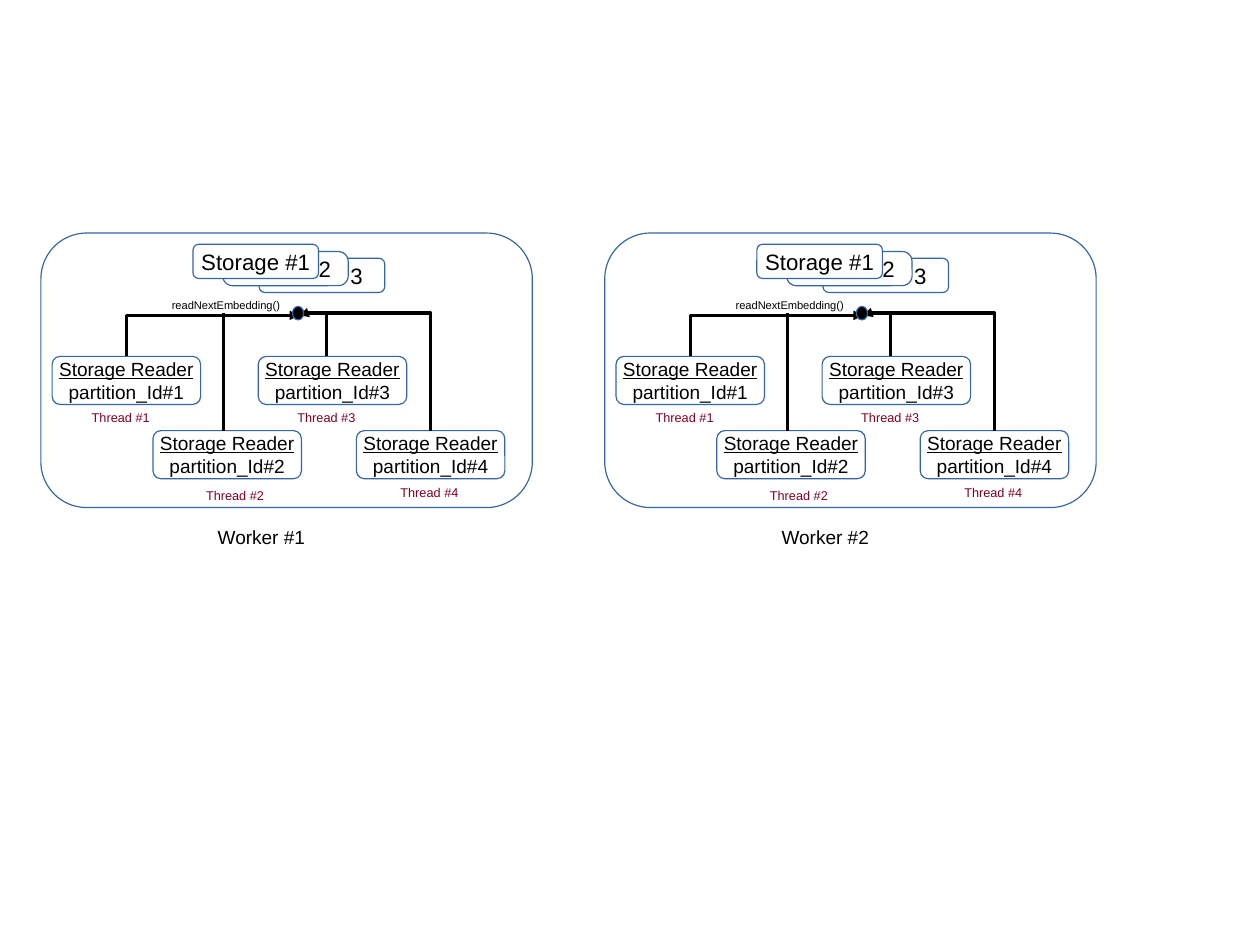
from lxml import etree
from pptx import Presentation
from pptx.dml.color import RGBColor
from pptx.enum.shapes import MSO_CONNECTOR as Connector, MSO_SHAPE as Shape
from pptx.enum.text import MSO_ANCHOR as Anchor, MSO_AUTO_SIZE as AutoSize, PP_ALIGN as Align
from pptx.oxml.ns import qn
from pptx.util import Cm, Pt

COLORS = {"text": "000000", "border": "3465A4", "paper": "FFFFFF", "thread": "7E0021"}
FONT = "Arial"


def color(name):
    return RGBColor.from_string(COLORS[name])


class Diagram:
    """Draws on one slide; positions are in cm from the current origin."""

    def __init__(self, slide):
        self.slide = slide
        self.left = self.top = 0

    def move_to(self, left, top):
        self.left, self.top = left, top

    def place(self, x, y):
        return Cm(self.left + x), Cm(self.top + y)

    def set_text(self, frame, lines, size, tint="text", align=Align.CENTER):
        frame.text = "\n".join(lines)
        for para in frame.paragraphs:
            para.alignment = align
            para.font.name = FONT
            para.font.size = Pt(size)
            para.font.color.rgb = color(tint)

    def shape(self, kind, x, y, width, height, fill=None):
        box = self.slide.shapes.add_shape(kind, *self.place(x, y), Cm(width), Cm(height))
        box.shadow.inherit = False
        if fill:
            box.fill.solid()
            box.fill.fore_color.rgb = color(fill)
        else:
            box.fill.background()
        box.line.color.rgb = color("border")
        box.line.width = Pt(0)
        return box

    def card(self, x, y, width, height, lines, size, fill=None, align=Align.CENTER, inset=0.25):
        box = self.shape(Shape.ROUNDED_RECTANGLE, x, y, width, height, fill)
        frame = box.text_frame
        # Right-aligned text needs the full card width to align against
        frame.word_wrap = align == Align.RIGHT
        frame.vertical_anchor = Anchor.MIDDLE
        frame.margin_right = Cm(inset)
        self.set_text(frame, lines, size, align=align)
        return box

    def label(self, x, y, width, height, text, size, tint="text"):
        box = self.slide.shapes.add_textbox(*self.place(x, y), Cm(width), Cm(height))
        box.text_frame.word_wrap = True
        box.text_frame.auto_size = AutoSize.SHAPE_TO_FIT_TEXT
        self.set_text(box.text_frame, [text], size, tint)

    def line(self, start, end, kind=Connector.STRAIGHT):
        link = self.slide.shapes.add_connector(kind, *self.place(*start), *self.place(*end))
        link.line.color.rgb = color("text")
        link.line.width = Pt(0)
        etree.SubElement(link._element.spPr, qn("a:effectLst"))
        return link

    def elbow(self, start, end, preset, turn, flips, bend=None):
        """Arrow that leaves start vertically; its box is stored turned by 90 or 270 degrees."""
        (x1, y1), (x2, y2) = start, end
        middle_x, middle_y = (x1 + x2) / 2, (y1 + y2) / 2
        half_width, half_height = abs(y2 - y1) / 2, abs(x2 - x1) / 2
        link = self.line((middle_x - half_width, middle_y - half_height),
                         (middle_x + half_width, middle_y + half_height), Connector.ELBOW)
        properties = link._element.spPr
        transform = properties.find(qn("a:xfrm"))
        transform.set("rot", str(turn * 60000))
        for flip in flips:
            transform.set(flip, "1")
        geometry = properties.find(qn("a:prstGeom"))
        geometry.set("prst", preset)
        if bend:
            guides = geometry.find(qn("a:avLst"))
            etree.SubElement(guides, qn("a:gd"), name="adj1", fmla=f"val {round(bend * 100000)}")
        etree.SubElement(properties.find(qn("a:ln")), qn("a:tailEnd"), type="triangle")


# Reader left and top, thread label left and top
UPPER, LOWER = 2.74, 4.39
READERS = [
    (0.25, UPPER, 0.76, 3.81),
    (2.49, LOWER, 3.3, 5.54),
    (4.83, UPPER, 5.33, 3.81),
    (7.01, LOWER, 7.62, 5.46),
]
HUB = (5.74, 1.83)
RAIL = 1.78


def draw_worker(diagram, number):
    # Worker frame and stacked storages, rear card first
    diagram.shape(Shape.ROUNDED_RECTANGLE, 0, 0, 10.92, 6.1)
    diagram.card(4.85, 0.56, 2.79, 0.76, ["3"], 14, "paper", Align.RIGHT, 0.45)
    second = diagram.card(4.04, 0.41, 2.79, 0.76, ["2"], 14, "paper", Align.RIGHT, 0.32)
    second.adjustments[0] = 0.29
    diagram.card(3.38, 0.25, 2.79, 0.76, ["Storage #1"], 14, "paper")

    # Readers
    for index, (x, y, _, _) in enumerate(READERS, 1):
        reader = diagram.card(x, y, 3.3, 1.07, ["Storage Reader", f"partition_Id#{index}"], 12)
        reader.text_frame.paragraphs[0].font.underline = True

    # Calls from the readers to the storage
    diagram.elbow((8.66, LOWER), HUB, "bentConnector3", 270, ["flipV"], 1.02)
    diagram.line((5.49, HUB[1]), HUB)
    diagram.elbow((1.9, UPPER), HUB, "bentConnector2", 90, ["flipH", "flipV"])
    diagram.line((6.35, UPPER), (6.35, RAIL))
    diagram.line((4.06, LOWER), (4.06, RAIL))
    diagram.shape(Shape.OVAL, 5.59, 1.63, 0.25, 0.3, "text")

    # Labels
    for index, (_, _, x, y) in enumerate(READERS, 1):
        diagram.label(x, y, 2.03, 0.56, f"Thread #{index}", 8, "thread")
    diagram.label(2.46, 1.32, 3.3, 0.53, "readNextEmbedding()", 7)
    diagram.label(3.25, 6.38, 3.3, 0.74, f"Worker #{number}", 12)


def main():
    deck = Presentation()
    deck.slide_width, deck.slide_height = Cm(28), Cm(21)
    diagram = Diagram(deck.slides.add_slide(deck.slide_layouts[6]))
    for index in range(2):
        diagram.move_to(0.91 + index * 12.53, 5.18)
        draw_worker(diagram, index + 1)
    deck.save("out.pptx")


if __name__ == "__main__":
    main()
